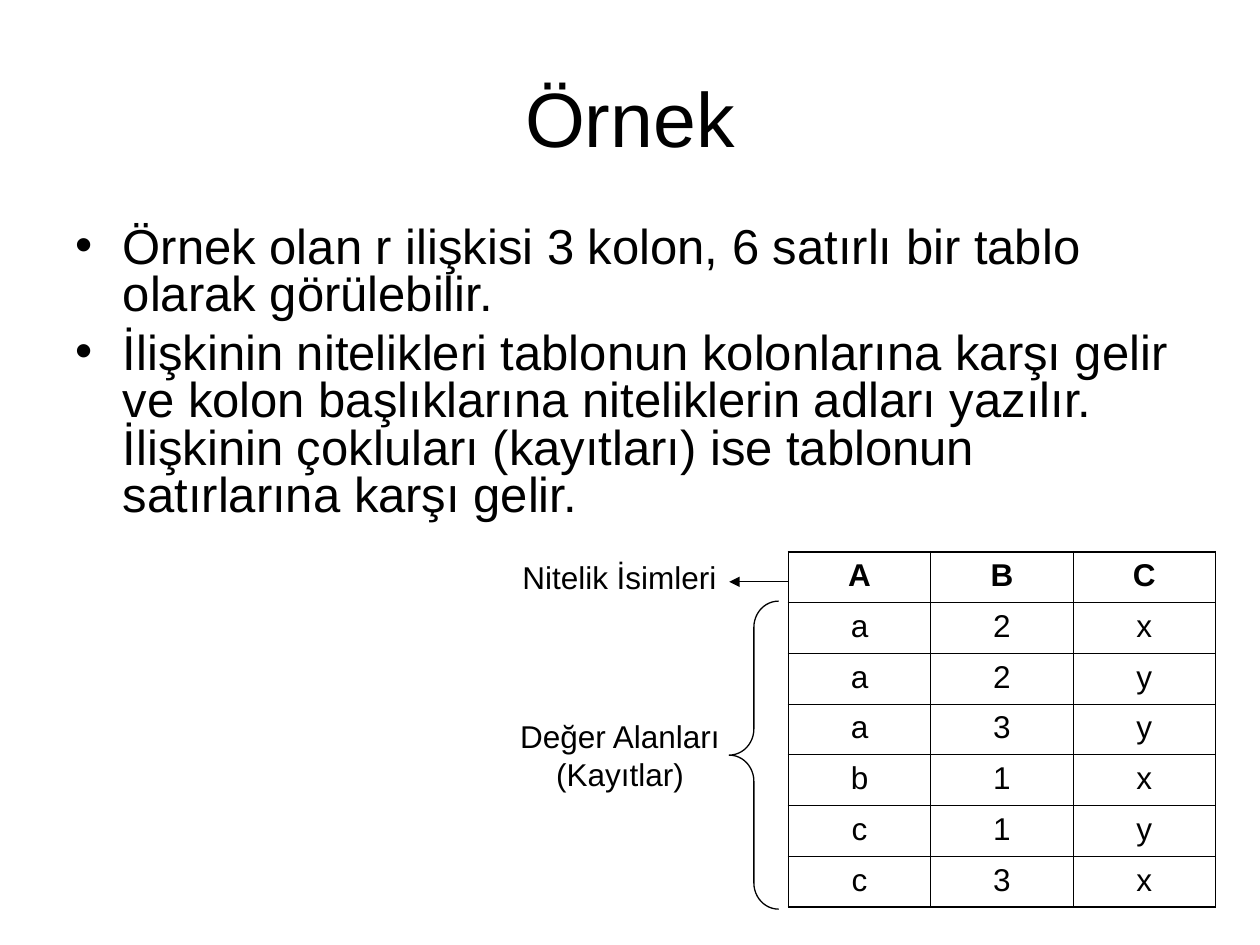
from lxml.etree import SubElement
from pptx import Presentation
from pptx.dml.color import RGBColor
from pptx.enum.shapes import MSO_CONNECTOR, MSO_SHAPE
from pptx.enum.text import MSO_ANCHOR, MSO_AUTO_SIZE, PP_ALIGN
from pptx.oxml import parse_xml
from pptx.oxml.ns import nsdecls, qn
from pptx.util import Pt

BLACK = RGBColor(0, 0, 0)
FONT = "Arial"
THIN, THICK = Pt(0.45), Pt(1.08)
HEADING = "Örnek"
POINTS = [
    "Örnek olan r ilişkisi 3 kolon, 6 satırlı bir tablo olarak görülebilir.",
    "İlişkinin nitelikleri tablonun kolonlarına karşı gelir ve kolon "
    "başlıklarına niteliklerin adları yazılır. İlişkinin çokluları "
    "(kayıtları) ise tablonun satırlarına karşı gelir.",
]
RELATION = ["ABC", "a2x", "a2y", "a3y", "b1x", "c1y", "c3x"]
COLUMN_WIDTH, ROW_HEIGHT = 81.36, 29


def place(placeholder, left, top, width, height):
    placeholder.left, placeholder.top = Pt(left), Pt(top)
    placeholder.width, placeholder.height = Pt(width), Pt(height)


def write(paragraph, wording, size, align, space_before=0, bold=False):
    paragraph.alignment = align
    paragraph.space_before = Pt(space_before)
    run = paragraph.add_run()
    run.text = wording
    run.font.name = FONT
    run.font.size = Pt(size)
    run.font.bold = bold
    run.font.color.rgb = BLACK


def fill_title(title):
    place(title, 36, 21.6, 648, 90)
    title.text_frame.vertical_anchor = MSO_ANCHOR.MIDDLE
    write(title.text_frame.paragraphs[0], HEADING, 44, PP_ALIGN.CENTER)


def fill_body(body):
    place(body, 36, 126, 648, 183.6)
    frame = body.text_frame
    frame.auto_size = MSO_AUTO_SIZE.NONE
    for index, point in enumerate(POINTS):
        paragraph = frame.add_paragraph() if index else frame.paragraphs[0]
        paragraph.line_spacing = 0.8
        write(paragraph, point, 28, PP_ALIGN.LEFT, 7)


def set_borders(cell, widths):
    properties = cell._tc.get_or_add_tcPr()
    for position, (side, width) in enumerate(zip("LRTB", widths)):
        border = parse_xml(
            f'<a:ln{side} {nsdecls("a")} w="{width}"><a:solidFill>'
            f'<a:srgbClr val="{BLACK}"/></a:solidFill></a:ln{side}>'
        )
        properties.insert(position, border)


def add_relation(slide, left, top):
    row_count, column_count = len(RELATION), len(RELATION[0])
    table = slide.shapes.add_table(
        row_count, column_count, Pt(left), Pt(top),
        Pt(column_count * COLUMN_WIDTH), Pt(row_count * ROW_HEIGHT),
    ).table
    table.first_row = table.horz_banding = False
    for column in table.columns:
        column.width = Pt(COLUMN_WIDTH)
    for r, record in enumerate(RELATION):
        table.rows[r].height = Pt(ROW_HEIGHT)
        for c, value in enumerate(record):
            cell = table.cell(r, c)
            cell.fill.background()
            write(cell.text_frame.paragraphs[0], value, 18,
                  PP_ALIGN.CENTER, 4.5, bold=r == 0)
            heavy = (c == 0, c == column_count - 1,
                     r <= 1, r in (0, row_count - 1))
            set_borders(cell, [THICK if edge else THIN for edge in heavy])


def add_brace(slide, left, top, width, height):
    brace = slide.shapes.add_shape(
        MSO_SHAPE.LEFT_BRACE, Pt(left), Pt(top), Pt(width), Pt(height))
    brace.adjustments[0] = 0.53
    brace.shadow.inherit = False
    brace.fill.background()
    brace.line.color.rgb = BLACK
    brace.line.width = Pt(0.75)


def add_arrow(slide, start, end, height):
    arrow = slide.shapes.add_connector(
        MSO_CONNECTOR.STRAIGHT, Pt(start), Pt(height), Pt(end), Pt(height))
    arrow.line.color.rgb = BLACK
    arrow.line.width = Pt(0.75)
    SubElement(arrow.line._get_or_add_ln(), qn("a:tailEnd"), type="triangle")
    SubElement(arrow._element.spPr, qn("a:effectLst"))


def add_label(slide, wording, left, top, width, height):
    label = slide.shapes.add_textbox(Pt(left), Pt(top), Pt(width), Pt(height))
    frame = label.text_frame
    frame.word_wrap = True
    frame.auto_size = MSO_AUTO_SIZE.SHAPE_TO_FIT_TEXT
    write(frame.paragraphs[0], wording, 18, PP_ALIGN.CENTER, 11.2)


def main():
    presentation = Presentation()
    presentation.slide_width, presentation.slide_height = Pt(720), Pt(540)
    slide = presentation.slides.add_slide(presentation.slide_layouts[1])
    fill_title(slide.shapes.title)
    fill_body(slide.placeholders[1])
    add_relation(slide, 450.5, 315.3)
    add_brace(slide, 416.7, 343.5, 28.2, 176)
    add_arrow(slide, 450.5, 416.7, 332.5)
    add_label(slide, "Nitelik İsimleri", 286, 315.3, 136, 29)
    add_label(slide, "Değer Alanları (Kayıtlar)", 286.3, 406.2, 136, 50.4)
    presentation.save("out.pptx")


if __name__ == "__main__":
    main()
